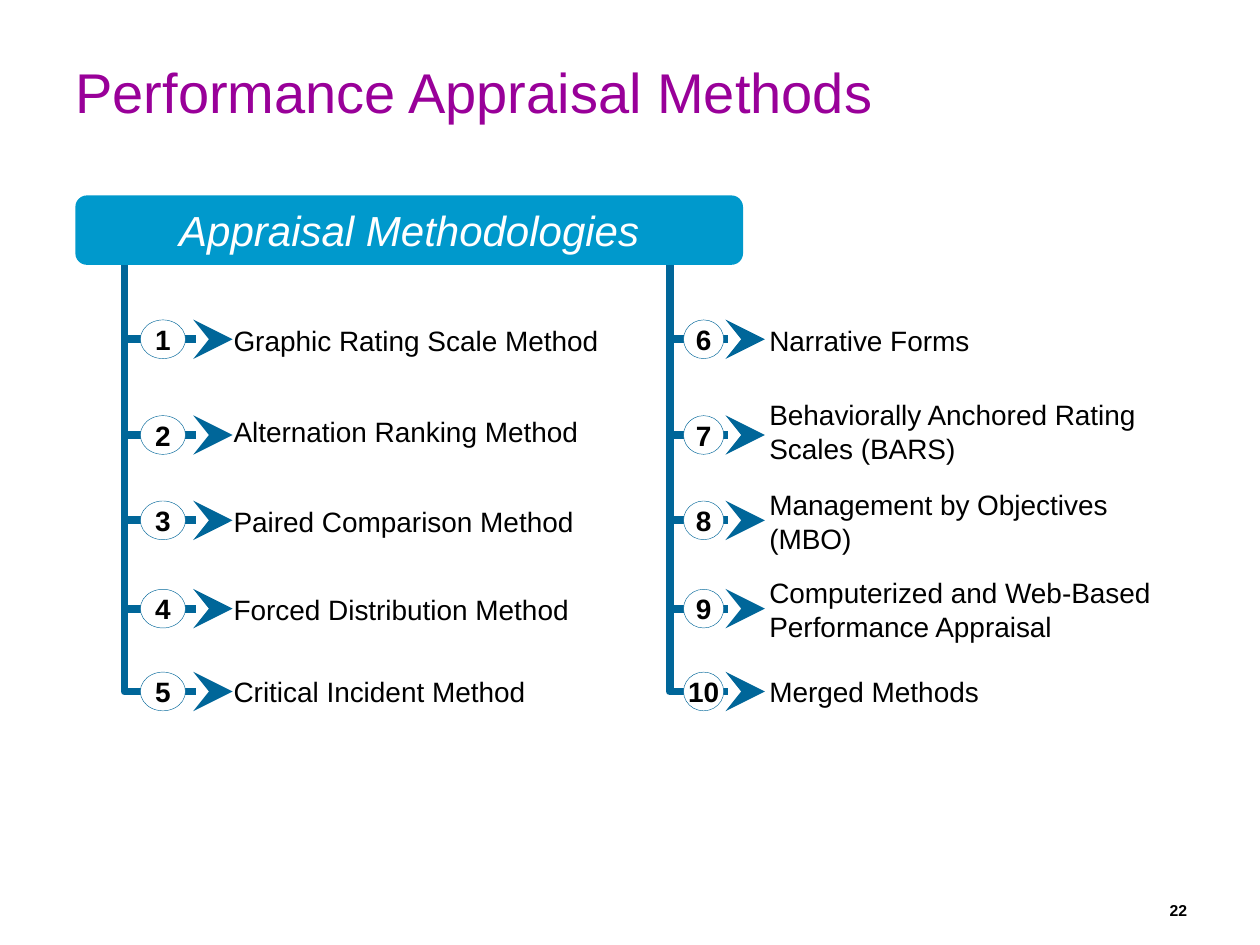
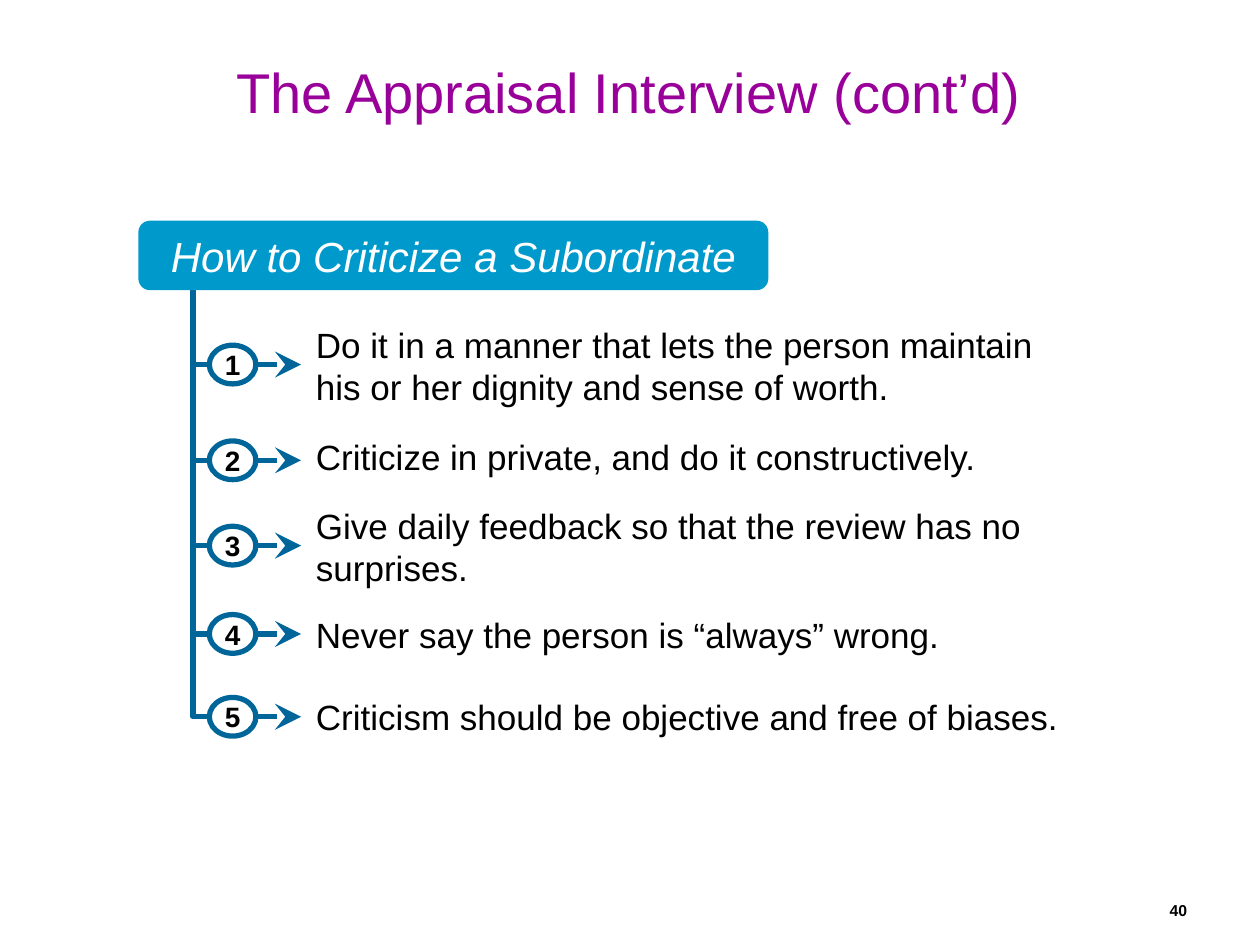
from dataclasses import dataclass

from lxml.etree import SubElement
from pptx import Presentation
from pptx.dml.color import RGBColor
from pptx.enum.shapes import MSO_SHAPE
from pptx.enum.text import MSO_ANCHOR, PP_ALIGN
from pptx.oxml.ns import qn
from pptx.util import Cm, Pt


@dataclass(frozen=True)
class Theme:
    font: str = "Arial"
    title_color: str = "990099"
    banner_color: str = "0099CC"
    line_color: str = "006699"
    text_color: str = "000000"
    light_color: str = "FFFFFF"
    title_size: float = 32
    banner_size: float = 24
    badge_size: float = 16
    page_size: float = 9


@dataclass(frozen=True)
class Column:
    """A trunk with numbered arrows; horizontal lengths are in centimetres."""
    trunk: float
    reach: float
    badge_left: float
    badge_width: float
    label_left: float
    label_width: float
    label_size: float
    line_width: float
    badge_line: float


THEME = Theme()
TITLE_ONLY = 5
BANNER_HEIGHT = 1.4
BADGE_HEIGHT = 0.78
LABEL_HEIGHT = 1.19

# Distances below the banner's top: arrow, middle of the label; then the arrow's rise
ROWS = [
    (2.9, 2.92, 2.52),
    (4.83, 4.76, 2.52),
    (6.55, 6.57, 4.4),
    (8.33, 8.34, 4.4),
    (10.0, 10.0, 4.4),
]

METHODS_LEFT = Column(2.51, 2.18, 2.83, 0.91, 4.46, 8.36, 16, 4.5, 0.25)
METHODS_RIGHT = Column(13.5, 1.92, 13.78, 0.81, 15.26, 8.36, 16, 4.5, 0.25)
CRITICISM = Column(3.89, 2.18, 4.22, 0.94, 6.12, 15.72, 20, 3, 3)


def box(left, top, width, height):
    return Cm(left), Cm(top), Cm(width), Cm(height)


def write(shape, text, *, size, color=THEME.text_color, bold=False, italic=False,
          align=PP_ALIGN.LEFT, anchor=MSO_ANCHOR.MIDDLE, wrap=True,
          space_before=0, side_inset=0.25):
    frame = shape.text_frame
    frame.word_wrap = wrap
    frame.vertical_anchor = anchor
    frame.margin_left = frame.margin_right = Cm(side_inset)
    paragraph = frame.paragraphs[0]
    paragraph.alignment = align
    paragraph.space_before = Pt(space_before)
    run = paragraph.add_run()
    run.text = text
    run.font.name = THEME.font
    run.font.size = Pt(size)
    run.font.bold = bold
    run.font.italic = italic
    run.font.color.rgb = RGBColor.from_string(color)


def paint(shape, fill=None, line=None, line_width=0):
    shape.shadow.inherit = False
    if fill:
        shape.fill.solid()
        shape.fill.fore_color.rgb = RGBColor.from_string(fill)
    else:
        shape.fill.background()
    if line:
        shape.line.color.rgb = RGBColor.from_string(line)
        shape.line.width = Pt(line_width)
    else:
        shape.line.fill.background()


def add_titled_slide(presentation, title, page, align=PP_ALIGN.LEFT):
    slide = presentation.slides.add_slide(presentation.slide_layouts[TITLE_ONLY])
    placeholder = slide.shapes.title
    placeholder.left, placeholder.top, placeholder.width, placeholder.height = box(
        1.27, 1.04, 22.81, 1.63)
    write(placeholder, title, size=THEME.title_size, color=THEME.title_color,
          align=align, anchor=MSO_ANCHOR.TOP)
    page_box = slide.shapes.add_textbox(*box(17.78, 17.65, 6.15, 1.02))
    write(page_box, page, size=THEME.page_size, bold=True, align=PP_ALIGN.RIGHT,
          anchor=MSO_ANCHOR.BOTTOM, side_inset=0)
    return slide


def add_banner(slide, text, left, top, width):
    banner = slide.shapes.add_shape(
        MSO_SHAPE.ROUNDED_RECTANGLE, *box(left, top, width, BANNER_HEIGHT))
    paint(banner, fill=THEME.banner_color)
    write(banner, text, size=THEME.banner_size, color=THEME.light_color,
          italic=True, align=PP_ALIGN.CENTER)


def add_bent_arrow(shapes, column, middle, rise):
    """Draw a line down the trunk that turns right into an arrowhead."""
    builder = shapes.build_freeform(Cm(column.trunk), Cm(middle - rise))
    builder.add_line_segments(
        [(Cm(column.trunk), Cm(middle)), (Cm(column.trunk + column.reach), Cm(middle))],
        close=False)
    arrow = builder.convert_to_shape()
    paint(arrow, line=THEME.line_color, line_width=column.line_width)
    line = arrow.line._get_or_add_ln()
    SubElement(line, qn("a:round"))
    SubElement(line, qn("a:tailEnd"), type="stealth", w="lg", len="lg")


def add_badge(shapes, column, middle, number):
    badge = shapes.add_shape(
        MSO_SHAPE.OVAL, *box(column.badge_left, middle - BADGE_HEIGHT / 2,
                             column.badge_width, BADGE_HEIGHT))
    paint(badge, THEME.light_color, THEME.line_color, column.badge_line)
    write(badge, str(number), size=THEME.badge_size, bold=True,
          align=PP_ALIGN.CENTER, wrap=False)


def add_label(slide, column, middle, text):
    label = slide.shapes.add_textbox(
        *box(column.label_left, middle - LABEL_HEIGHT / 2,
             column.label_width, LABEL_HEIGHT))
    write(label, text, size=column.label_size,
          space_before=column.label_size * 0.625)


def add_numbered_column(slide, column, top, labels, first=1):
    for number, (label, row) in enumerate(zip(labels, ROWS), first):
        arrow_offset, label_offset, rise = row
        group = slide.shapes.add_group_shape()
        add_bent_arrow(group.shapes, column, top + arrow_offset, rise)
        add_badge(group.shapes, column, top + arrow_offset, number)
        add_label(slide, column, top + label_offset, label)


def add_methods_slide(presentation):
    slide = add_titled_slide(presentation, "Performance Appraisal Methods", "22")
    top = 3.94
    add_numbered_column(slide, METHODS_LEFT, top, [
        "Graphic Rating Scale Method",
        "Alternation Ranking Method",
        "Paired Comparison Method",
        "Forced Distribution Method",
        "Critical Incident Method",
    ])
    add_numbered_column(slide, METHODS_RIGHT, top, [
        "Narrative Forms",
        "Behaviorally Anchored Rating Scales (BARS)",
        "Management by Objectives (MBO)",
        "Computerized and Web-Based Performance Appraisal",
        "Merged Methods",
    ], first=6)
    add_banner(slide, "Appraisal Methodologies", 1.52, top, 13.46)


def add_interview_slide(presentation):
    slide = add_titled_slide(presentation, "The Appraisal Interview (cont’d)", "40",
                             align=PP_ALIGN.CENTER)
    top = 4.45
    add_numbered_column(slide, CRITICISM, top, [
        "Do it in a manner that lets the person maintain his or her dignity "
        "and sense of worth.",
        "Criticize in private, and do it constructively.",
        "Give daily feedback so that the review has no surprises.",
        "Never say the person is “always” wrong.",
        "Criticism should be objective and free of biases.",
    ])
    add_banner(slide, "How to Criticize a Subordinate", 2.79, top, 12.7)


def main():
    presentation = Presentation()
    presentation.slide_width = Cm(25.4)
    presentation.slide_height = Cm(19.05)
    add_methods_slide(presentation)
    add_interview_slide(presentation)
    presentation.save("out.pptx")


if __name__ == "__main__":
    main()
